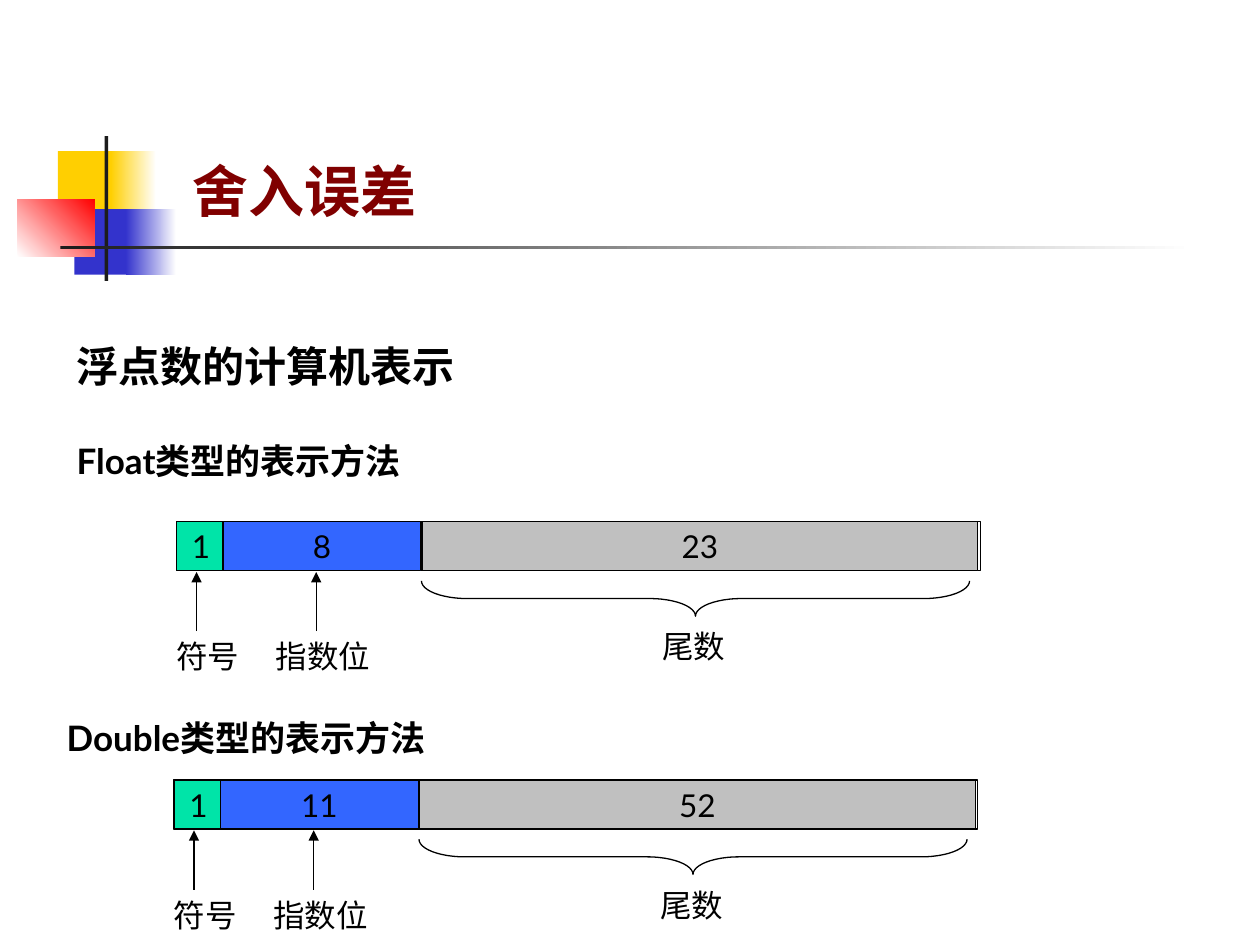
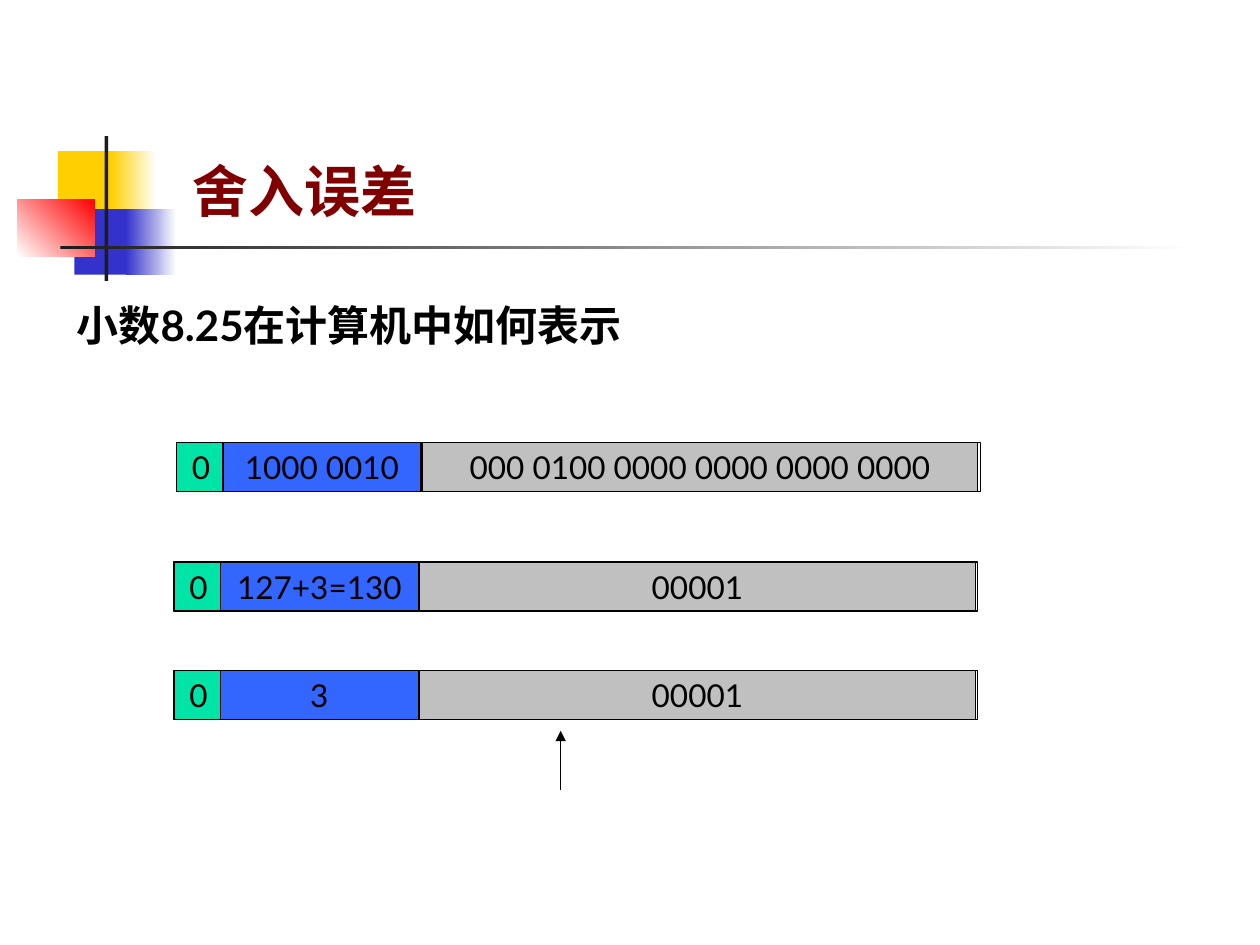
from dataclasses import dataclass

from lxml import etree
from pptx import Presentation
from pptx import util as u
from pptx.dml.color import RGBColor
from pptx.enum import shapes, text
from pptx.oxml.ns import qn


@dataclass(frozen=True)
class Theme:
    font: str = "Lato"
    black: str = "000000"
    white: str = "FFFFFF"
    title: str = "800000"
    yellow: str = "FFCF01"
    indigo: str = "3333CC"
    red: str = "FF0000"
    charcoal: str = "1C1C1C"
    sign: str = "00E4A8"
    exponent: str = "3366FF"
    mantissa: str = "C0C0C0"
    title_size: int = 32
    heading_size: int = 24
    subheading_size: int = 20
    body_size: int = 18
    line_width: float = 0.75


THEME = Theme()
ROW_HEIGHT = 0.39
ROW_WIDTH = 6.38
# Left offset and width of each bit field, with its colour
FIELDS = ((0, 0.39, THEME.sign), (0.37, 1.57, THEME.exponent), (1.95, 4.41, THEME.mantissa))


def colour(value):
    return RGBColor.from_string(value)


def outline(line):
    line.color.rgb = colour(THEME.black)
    line.width = u.Pt(THEME.line_width)


def write(shape, words, size, ink=THEME.black, bold=False, align=None, wrap=False):
    frame = shape.text_frame
    frame.word_wrap = wrap
    para = frame.paragraphs[0]
    para.alignment = align
    span = para.add_run()
    span.text = words
    span.font.name = THEME.font
    span.font.size = u.Pt(size)
    span.font.bold = bold
    span.font.color.rgb = colour(ink)


def add_label(page, words, left, top, width, height, size, **style):
    box = page.shapes.add_textbox(*map(u.Inches, (left, top, width, height)))
    write(box, words, size, **style)
    box.text_frame.auto_size = text.MSO_AUTO_SIZE.SHAPE_TO_FIT_TEXT


def add_block(page, left, top, width, height, fill=None, fade=None, angle=0, outlined=False):
    """Rectangle that is empty, plain, or fading from fill to fade."""
    block = page.shapes.add_shape(
        shapes.MSO_SHAPE.RECTANGLE, *map(u.Inches, (left, top, width, height)))
    block.shadow.inherit = False
    if fade:
        block.fill.gradient()
        block.fill.gradient_angle = angle
        for stop, value in zip(block.fill.gradient_stops, (fill, fade)):
            stop.color.rgb = colour(value)
    elif fill:
        block.fill.solid()
        block.fill.fore_color.rgb = colour(fill)
    else:
        block.fill.background()
    if outlined:
        outline(block.line)
    else:
        block.line.fill.background()
    return block


def add_line(page, x, start, end, arrow=False):
    """Vertical line, with an arrowhead at its end if asked."""
    line = page.shapes.add_connector(
        shapes.MSO_CONNECTOR.STRAIGHT, *map(u.Inches, (x, start, x, end)))
    outline(line.line)
    if arrow:
        etree.SubElement(line.line._get_or_add_ln(), qn("a:tailEnd"), type="triangle")
    etree.SubElement(line._element.spPr, qn("a:effectLst"))


def add_brace(page, centre_x, centre_y, span, depth):
    """Brace lying under a field, with its tip pointing down."""
    brace = page.shapes.add_shape(
        shapes.MSO_SHAPE.LEFT_BRACE,
        *map(u.Inches, (centre_x - depth / 2, centre_y - span / 2, depth, span)))
    brace.rotation = 270
    brace.adjustments[0] = 1.3
    brace.shadow.inherit = False
    brace.fill.background()
    outline(brace.line)


def add_bit_row(page, left, top, values):
    add_block(page, left, top, ROW_WIDTH, ROW_HEIGHT, outlined=True)
    add_line(page, left + 0.39, top, top + ROW_HEIGHT)
    for (offset, width, fill), value in zip(FIELDS, values):
        cell = add_block(page, left + offset, top, width, ROW_HEIGHT, fill, outlined=True)
        cell.text_frame.vertical_anchor = text.MSO_ANCHOR.MIDDLE
        write(cell, value, THEME.body_size, align=text.PP_ALIGN.CENTER)


def add_field_names(page, left, top):
    """Arrows, brace and names below the bit row at left, top."""
    for words, offset, down, width in (
            ("符号", -0.1, 0.87, 0.7), ("指数位", 0.69, 0.87, 0.95), ("尾数", 3.76, 0.79, 0.7)):
        add_label(page, words, left + offset, top + down, width, 0.4, THEME.body_size)
    for offset in (0.16, 1.11):
        add_line(page, left + offset, top + 0.87, top + 0.4, arrow=True)
    add_brace(page, left + 4.12, top + 0.61, span=4.35, depth=0.28)


def add_heading(page, words, left, top, size):
    add_label(page, words, left, top, 9.25, 0.44, size, bold=True, wrap=True)


def add_page(deck, title):
    """Blank page with the shared ornament and title."""
    page = deck.slides.add_slide(deck.slide_layouts[6])
    add_block(page, 0.46, 1.2, 0.48, 0.52, THEME.yellow)
    add_block(page, 0.88, 1.2, 0.36, 0.52, THEME.yellow, THEME.white)
    add_block(page, 0.59, 1.66, 0.46, 0.52, THEME.indigo)
    add_block(page, 1, 1.66, 0.4, 0.52, THEME.indigo, THEME.white)
    add_block(page, 0.14, 1.58, 0.61, 0.46, THEME.white, THEME.red, angle=45)
    add_block(page, 0.83, 1.08, 0.03, 1.15, THEME.charcoal)
    add_block(page, 0.48, 1.95, 9, 0.03, THEME.charcoal, THEME.white)
    add_label(page, title, 1.43, 1.19, 1.98, 0.64, THEME.title_size, ink=THEME.title, bold=True)
    return page


def add_formats_page(deck):
    page = add_page(deck, "舍入误差")
    add_heading(page, "浮点数的计算机表示", 0.51, 2.65, THEME.heading_size)
    add_heading(page, "Float类型的表示方法", 0.51, 3.44, THEME.subheading_size)
    add_heading(page, "Double类型的表示方法", 0.43, 5.64, THEME.subheading_size)
    for left, top, bits in ((1.4, 4.14, ("1", "8", "23")), (1.38, 6.19, ("1", "11", "52"))):
        add_bit_row(page, left, top, bits)
        add_field_names(page, left, top)


def add_example_page(deck):
    page = add_page(deck, "舍入误差")
    add_heading(page, "小数8.25在计算机中如何表示", 0.51, 2.33, THEME.heading_size)
    add_bit_row(page, 1.4, 3.51, ("0", "1000 0010", "000 0100 0000 0000 0000 0000"))
    add_bit_row(page, 1.38, 4.46, ("0", "127+3=130", "00001"))
    add_bit_row(page, 1.38, 5.32, ("0", "3", "00001"))
    add_line(page, 4.45, 6.27, 5.8, arrow=True)


def main():
    deck = Presentation()
    deck.slide_width, deck.slide_height = u.Inches(10), u.Inches(7.5)
    add_formats_page(deck)
    add_example_page(deck)
    deck.save("out.pptx")


if __name__ == "__main__":
    main()
